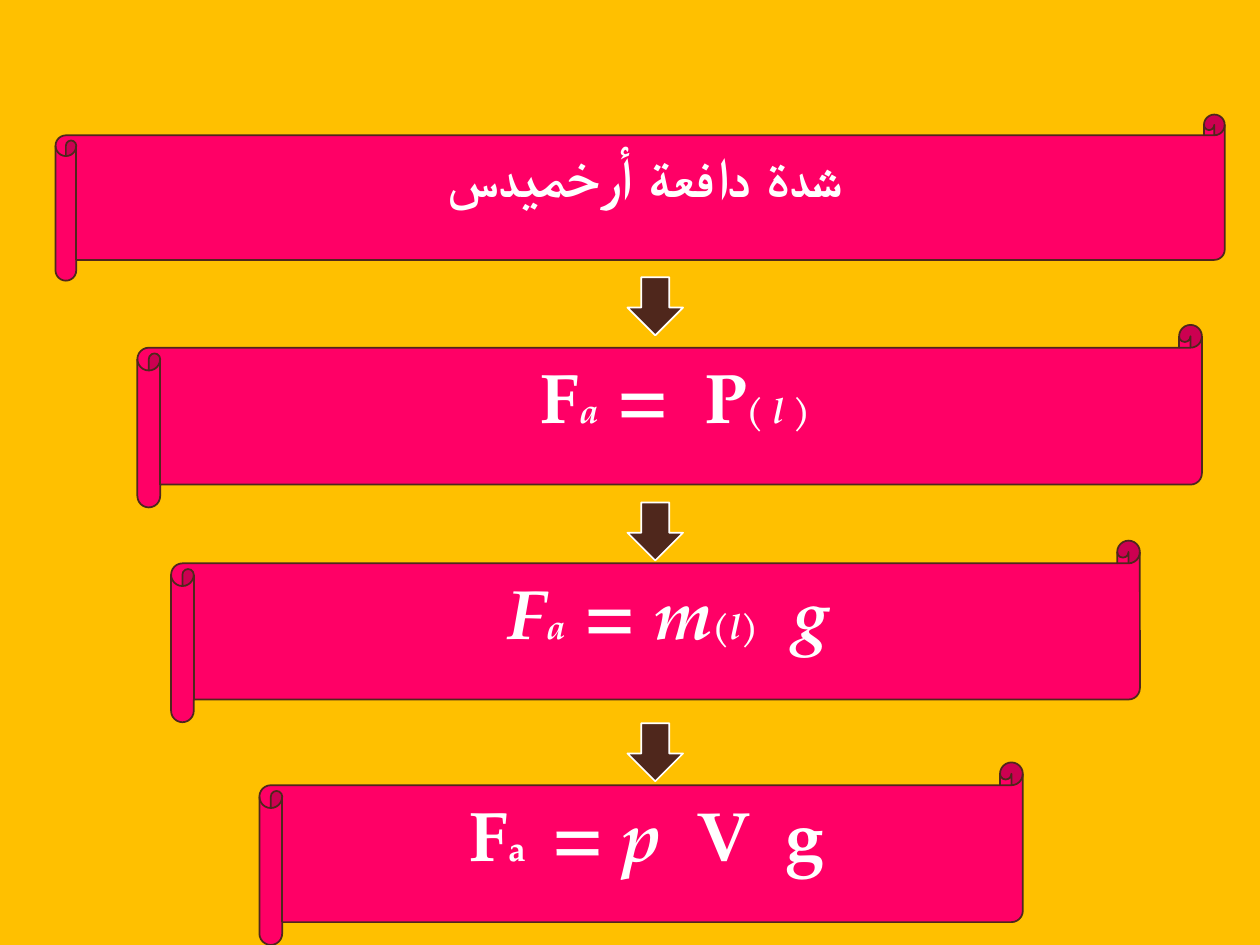
"""Builds a slide deriving the Archimedes buoyant force in four banners."""
from typing import NamedTuple

from pptx import Presentation
from pptx.dml.color import RGBColor
from pptx.enum.shapes import MSO_SHAPE
from pptx.enum.text import MSO_ANCHOR, PP_ALIGN
from pptx.util import Cm, Pt

SCROLL = MSO_SHAPE.HORIZONTAL_SCROLL
DOWN_ARROW = MSO_SHAPE.DOWN_ARROW
TOP = MSO_ANCHOR.TOP
CENTER = PP_ALIGN.CENTER

AMBER = RGBColor(0xFF, 0xC0, 0x00)
PINK = RGBColor(0xFF, 0x00, 0x66)
BROWN = RGBColor(0x4F, 0x27, 0x1C)
WHITE = RGBColor(0xFF, 0xFF, 0xFF)
FONT = "TeX Gyre Pagella"
TITLE, SYMBOL, INDEX = 32, 40, 20


class Box(NamedTuple):
    left: float
    top: float
    width: float
    height: float


class TextRun(NamedTuple):
    text: str
    size: int = SYMBOL
    italic: bool = False
    bold: bool = True


class Banner(NamedTuple):
    box: Box
    runs: tuple[TextRun, ...]


BANNERS = (
    Banner(Box(1.12, 2.31, 23.57, 3.35), (TextRun("شدة دافعة أرخميدس", TITLE),)),
    Banner(Box(2.77, 6.55, 21.46, 3.68), (
        TextRun("F"),
        TextRun("a", INDEX, True),
        TextRun(" =  ", SYMBOL, True),
        TextRun("P"),
        TextRun("( l )", INDEX, True),
    )),
    Banner(Box(3.45, 10.9, 19.53, 3.66), (
        TextRun(" ", TITLE),
        TextRun("F", SYMBOL, True),
        TextRun("a", INDEX, True),
        TextRun(" = m", SYMBOL, True),
        TextRun("(l)", INDEX, True),
        TextRun("  g", SYMBOL, True),
    )),
    Banner(Box(5.23, 15.37, 15.39, 3.68), (
        TextRun("F"),
        TextRun("a ", INDEX),
        TextRun(" = p  ", SYMBOL, True),
        TextRun("V  g"),
    )),
)
ARROW_TOPS = (5.59, 10.13, 14.58)


def add_filled_shape(slide, kind, box: Box, fill: RGBColor, line: RGBColor):
    """Add a flat preset shape with a one-point outline."""
    shape = slide.shapes.add_shape(kind, *(Cm(length) for length in box))
    shape.shadow.inherit = False
    shape.fill.solid()
    shape.fill.fore_color.rgb = fill
    shape.line.color.rgb = line
    shape.line.width = Pt(1)
    return shape


def add_banner(slide, banner: Banner) -> None:
    """Add a scroll holding one centred line of text."""
    shape = add_filled_shape(slide, SCROLL, banner.box, PINK, BROWN)
    text_frame = shape.text_frame
    text_frame.word_wrap = True
    text_frame.vertical_anchor = TOP
    paragraph = text_frame.paragraphs[0]
    paragraph.alignment = CENTER
    for text_run in banner.runs:
        run = paragraph.add_run()
        run.text = text_run.text
        run.font.name = FONT
        run.font.size = Pt(text_run.size)
        run.font.bold = text_run.bold
        run.font.italic = text_run.italic
        run.font.color.rgb = WHITE


def main() -> None:
    """Build and save the presentation."""
    presentation = Presentation()
    presentation.slide_width = Cm(25.4)
    presentation.slide_height = Cm(19.05)
    slide = presentation.slides.add_slide(presentation.slide_layouts[6])
    slide.background.fill.solid()
    slide.background.fill.fore_color.rgb = AMBER
    for banner in BANNERS:
        add_banner(slide, banner)
    for top in ARROW_TOPS:
        add_filled_shape(slide, DOWN_ARROW, Box(12.65, top, 1.12, 1.17), BROWN, WHITE)
    presentation.save("out.pptx")


if __name__ == "__main__":
    main()
